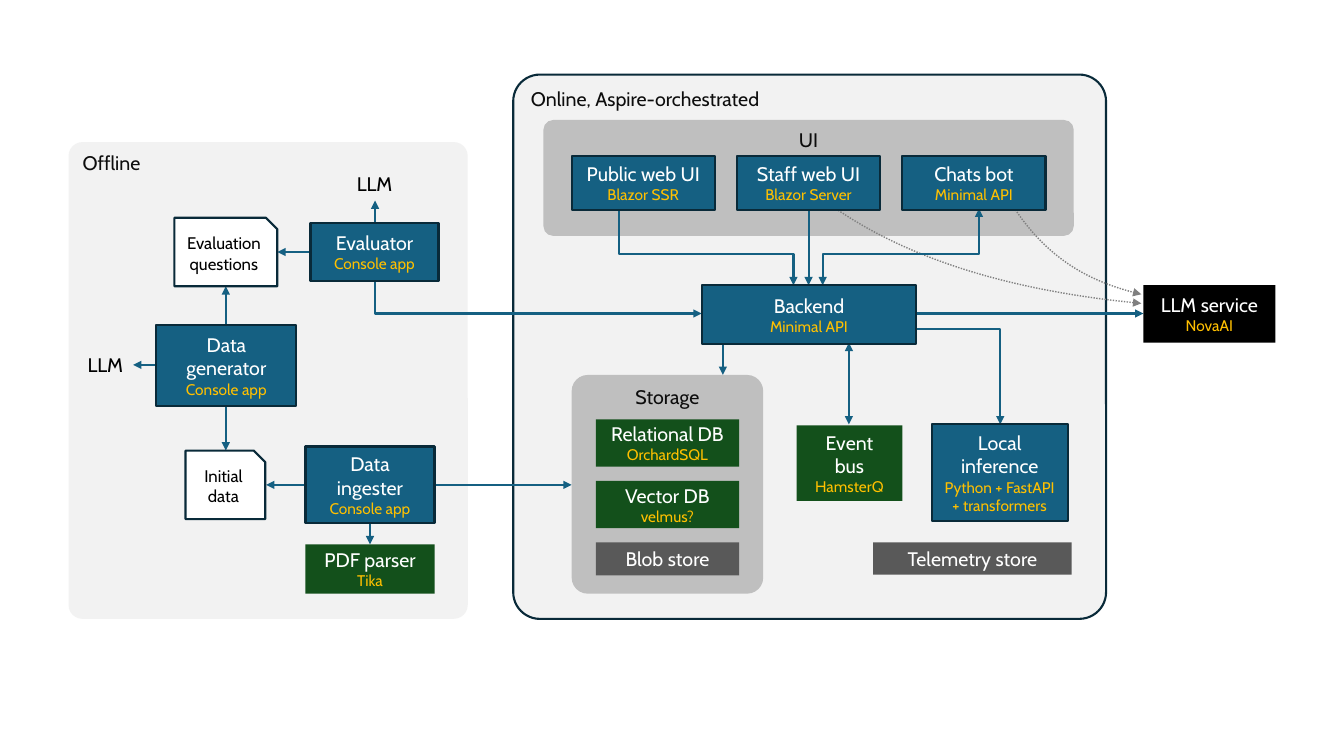
import pptx
import pptx.util
import pptx.dml.color
import pptx.enum.dml
import pptx.enum.shapes
import pptx.enum.text
import pptx.oxml.ns
from lxml import etree

KIND = pptx.enum.shapes.MSO_SHAPE
ROUTE = pptx.enum.shapes.MSO_CONNECTOR
ALIGN = pptx.enum.text.PP_ALIGN
ANCHOR = pptx.enum.text.MSO_ANCHOR
qn = pptx.oxml.ns.qn

SCALE = 9144
BLUE, NAVY, GREEN = "156082", "092A39", "13501B"
WHITE, BLACK, INK, GOLD = "FFFFFF", "000000", "0D0D0D", "FFC000"
PALE, SILVER, SLATE, GRAY = "F2F2F2", "BFBFBF", "595959", "808080"


def px(count):
    return pptx.util.Emu(int(count * SCALE))


def paint(target, color):
    target.rgb = pptx.dml.color.RGBColor.from_string(color)


def write(frame, rows, align=ALIGN.CENTER):
    frame.word_wrap = True
    for i, (text, size, color) in enumerate(rows):
        para = frame.paragraphs[0] if i == 0 else frame.add_paragraph()
        para.text = text
        para.alignment = align
        para.font.size = pptx.util.Pt(size)
        para.font.name = "Cabin"
        paint(para.font.color, color)


def block(slide, kind, area, fill, edge=None):
    shape = slide.shapes.add_shape(kind, *map(px, area))
    shape.shadow.inherit = False
    shape.fill.solid()
    paint(shape.fill.fore_color, fill)
    if edge:
        paint(shape.line.color, edge)
        shape.line.width = pptx.util.Pt(1.5)
    else:
        shape.line.fill.background()
    return shape


def panel(slide, area, title, fill, curve, align, edge=None):
    shape = block(slide, KIND.ROUNDED_RECTANGLE, area, fill, edge)
    shape.adjustments[0] = curve
    shape.text_frame.vertical_anchor = ANCHOR.TOP
    write(shape.text_frame, [(title, 14, INK)], align)


def box(slide, area, title, note=None, fill=BLUE):
    shape = block(slide, KIND.RECTANGLE, area, fill, NAVY if fill == BLUE else None)
    shape.text_frame.vertical_anchor = ANCHOR.MIDDLE
    rows = [(part, 14, WHITE) for part in title.split("\n")]
    if note:
        rows.append((note, 11, GOLD))
    write(shape.text_frame, rows)


def sheet(slide, area, text):
    shape = block(slide, KIND.SNIP_1_RECTANGLE, area, WHITE, NAVY)
    shape.text_frame.margin_right = shape.text_frame.margin_bottom = px(8)
    shape.text_frame.vertical_anchor = ANCHOR.MIDDLE
    write(shape.text_frame, [(text, 12, BLACK)])


def label(slide, area, text):
    frame = slide.shapes.add_textbox(*map(px, area)).text_frame
    frame.margin_left = frame.margin_right = 0
    write(frame, [(text, 14, BLACK)])


def stroke(shape, color, width, both=False, dash=None):
    paint(shape.line.color, color)
    shape.line.width = pptx.util.Pt(width)
    if dash:
        shape.line.dash_style = dash
    pen = shape.line._get_or_add_ln()
    for end in ("a:headEnd", "a:tailEnd") if both else ("a:tailEnd",):
        etree.SubElement(pen, qn(end)).set("type", "triangle")


def arrow(slide, start, stop, both=False, route=ROUTE.STRAIGHT):
    link = slide.shapes.add_connector(route, *map(px, start + stop))
    stroke(link, BLUE, 1.5, both)
    etree.SubElement(link._element.spPr, qn("a:effectLst"))
    return link._element.spPr


def elbow(slide, start, stop, both=False, drop=True, split=None):
    (x1, y1), (x2, y2) = start, stop
    if drop:
        mid_x, mid_y = (x1 + x2) / 2, (y1 + y2) / 2
        half_w, half_h = abs(y2 - y1) / 2, abs(x2 - x1) / 2
        start = (mid_x - half_w, mid_y - half_h)
        stop = (mid_x + half_w, mid_y + half_h)
    props = arrow(slide, start, stop, both, ROUTE.ELBOW)
    if drop:
        frame = props.find(qn("a:xfrm"))
        frame.set("rot", str((270 if x2 > x1 else 90) * 60000))
        if x2 > x1:
            frame.set("flipH", "1")
    form = props.find(qn("a:prstGeom"))
    if split:
        guide = etree.SubElement(form.find(qn("a:avLst")), qn("a:gd"))
        guide.set("name", "adj1")
        guide.set("fmla", f"val {split}")
    else:
        form.set("prst", "bentConnector2")


def curve(slide, start, *points):
    draft = slide.shapes.build_freeform(*start, scale=SCALE)
    draft.add_line_segments(points, close=False)
    shape = draft.convert_to_shape()
    shape.shadow.inherit = False
    shape.fill.background()
    track = shape._element.find(".//" + qn("a:path"))
    lines = track.findall(qn("a:lnTo"))
    bend = etree.SubElement(track, qn("a:cubicBezTo"))
    for line in lines:
        bend.append(line[0])
        track.remove(line)
    stroke(shape, GRAY, 1, dash=pptx.enum.dml.MSO_LINE.ROUND_DOT)


def main():
    deck = pptx.Presentation()
    deck.slide_width, deck.slide_height = px(1333), px(750)
    slide = deck.slides.add_slide(deck.slide_layouts[6])

    panel(slide, (68, 141, 396, 473), "Offline", PALE, 0.035, ALIGN.LEFT)
    panel(slide, (509, 74, 588, 540), "Online, Aspire-orchestrated", PALE, 0.049, ALIGN.LEFT, NAVY)
    panel(slide, (567, 372, 190, 217), "Storage", SILVER, 0.084, ALIGN.CENTER)
    panel(slide, (539, 119, 526, 115), "UI", SILVER, 0.084, ALIGN.CENTER)

    curve(slide, (829, 207), (914, 265), (1027, 291), (1132, 301))
    curve(slide, (1007, 208), (1042, 260), (1089, 282), (1132, 292))

    for start, stop in [
        ((802, 207), (802, 283)), ((909, 311), (1134, 311)),
        ((431, 481), (567, 481)), ((224, 322), (224, 284)),
        ((367, 519), (367, 540)), ((303, 481), (264, 481)),
        ((224, 403), (224, 447)), ((155, 362), (132, 362)),
        ((308, 250), (275, 250)), ((372, 222), (372, 199)),
        ((717, 290), (717, 372)),
    ]:
        arrow(slide, start, stop)
    arrow(slide, (842, 340), (842, 421), both=True)
    elbow(slide, (614, 207), (787, 283), split=58800)
    elbow(slide, (971, 207), (816, 283), both=True, split=58800)
    elbow(slide, (372, 279), (696, 311))
    elbow(slide, (884, 326), (992, 421), drop=False)

    for i, (title, note) in enumerate([
        ("Public web UI", "Blazor SSR"),
        ("Staff web UI", "Blazor Server"),
        ("Chats bot", "Minimal API"),
    ]):
        box(slide, (567 + 164 * i, 155, 142, 53), title, note)
    for i, (title, note, high, fill) in enumerate([
        ("Relational DB", "OrchardSQL", 47, GREEN),
        ("Vector DB", "velmus?", 47, GREEN),
        ("Blob store", None, 33, SLATE),
    ]):
        box(slide, (591, 416 + 61 * i, 142, high), title, note, fill)

    box(slide, (696, 283, 213, 58), "Backend", "Minimal API")
    box(slide, (790, 422, 105, 75), "Event\nbus", "HamsterQ", GREEN)
    box(slide, (924, 421, 135, 96), "Local\ninference", "Python + FastAPI + transformers")
    box(slide, (866, 538, 197, 32), "Telemetry store", fill=SLATE)
    box(slide, (1134, 283, 131, 57), "LLM service", "NovaAI", BLACK)

    box(slide, (308, 221, 127, 58), "Evaluator", "Console app")
    box(slide, (155, 322, 139, 81), "Data\ngenerator", "Console app")
    box(slide, (303, 443, 128, 76), "Data\ningester", "Console app")
    box(slide, (303, 540, 128, 49), "PDF parser", "Tika", GREEN)
    sheet(slide, (173, 216, 102, 68), "Evaluation questions")
    sheet(slide, (184, 447, 79, 68), "Initial data")
    label(slide, (337, 166, 69, 34), "LLM")
    label(slide, (77, 345, 55, 34), "LLM")

    deck.save("out.pptx")


if __name__ == "__main__":
    main()
